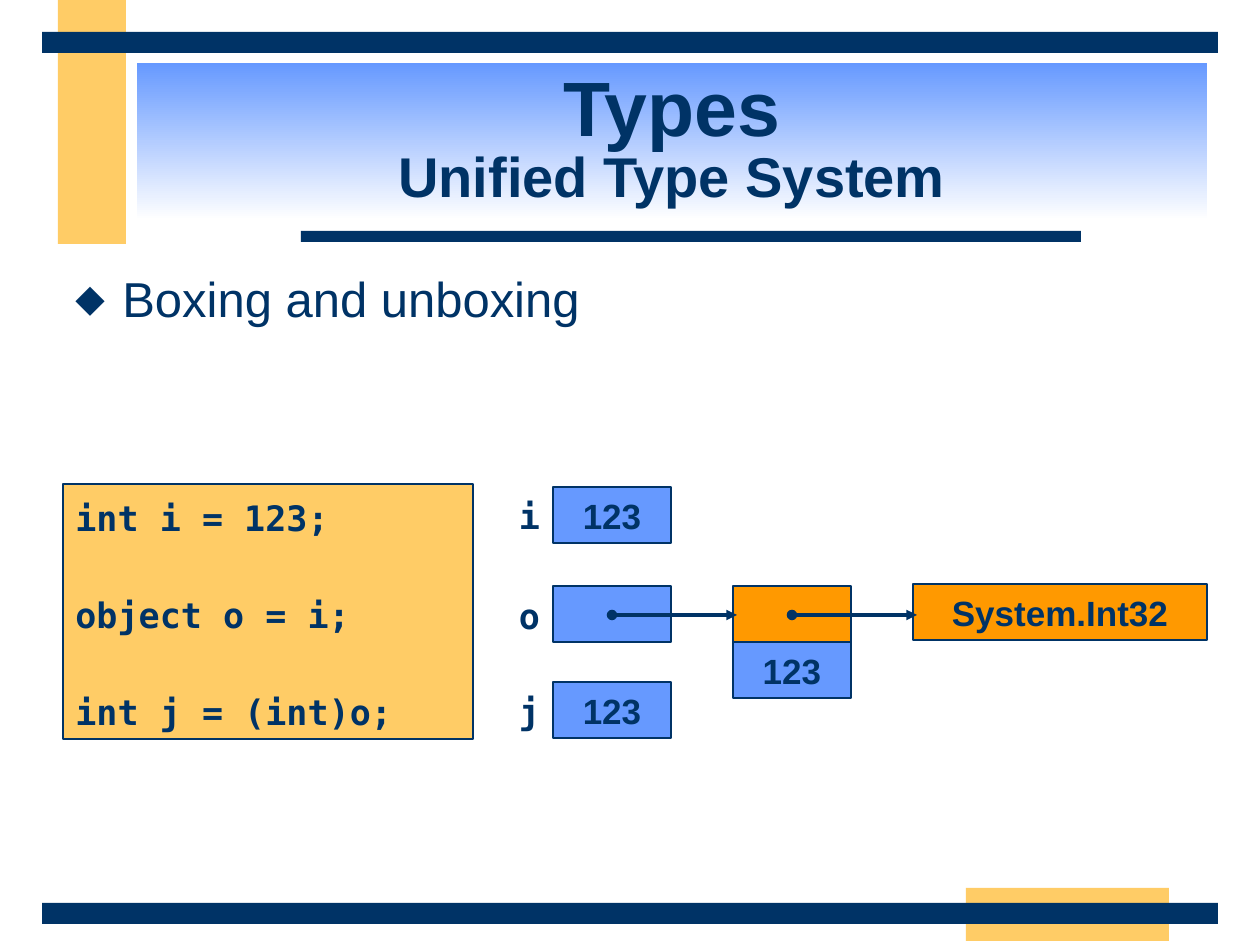
import dataclasses

import pptx
import pptx.dml.color
import pptx.enum.shapes
import pptx.enum.text
import pptx.oxml.ns
import pptx.util
from lxml import etree

ALIGN = pptx.enum.text.PP_ALIGN
ANCHOR = pptx.enum.text.MSO_ANCHOR
EMU_PER_PX = 914400 / 126


@dataclasses.dataclass(frozen=True)
class Theme:
    """Colours, fonts and type sizes of the slide."""
    navy: str = "003366"
    sand: str = "FFCC66"
    blue: str = "6699FF"
    orange: str = "FF9900"
    white: str = "FFFFFF"
    sans: str = "Arial"
    mono: str = "DejaVu Sans Mono"
    title: int = 44
    subtitle: int = 32
    body: int = 28
    small: int = 20


def px(length):
    """Turn pixels into EMU."""
    return pptx.util.Emu(round(length * EMU_PER_PX))


def rgb(value):
    """Turn a hex string into a colour."""
    return pptx.dml.color.RGBColor.from_string(value)


def add_xml(parent, tag, **attributes):
    """Append a DrawingML element to its parent."""
    return etree.SubElement(parent, pptx.oxml.ns.qn(f"a:{tag}"), attributes)


def write(paragraph, text, *, size, font, color, bold=True, align=ALIGN.CENTER,
          spacing=None, before=None):
    """Add formatted text to a paragraph."""
    paragraph.alignment = align
    if spacing:
        paragraph.line_spacing = spacing
    if before:
        paragraph.space_before = pptx.util.Pt(before)
    run = paragraph.add_run()
    run.text = text
    run.font.size = pptx.util.Pt(size)
    run.font.name = font
    run.font.bold = bold
    run.font.color.rgb = rgb(color)


class Deck:
    """Holds the theme and the current slide."""

    def __init__(self, theme):
        """Open a presentation with one title-only slide."""
        self.theme = theme
        self.presentation = pptx.Presentation()
        self.presentation.slide_width = px(1260)
        self.presentation.slide_height = px(945)
        self.slide = self.presentation.slides.add_slide(self.presentation.slide_layouts[5])

    def box(self, x, y, width, height, fill, line=None):
        """Draw a rectangle with an optional outline."""
        shape = self.slide.shapes.add_shape(
            pptx.enum.shapes.MSO_SHAPE.RECTANGLE, px(x), px(y), px(width), px(height))
        shape.shadow.inherit = False
        shape.fill.solid()
        shape.fill.fore_color.rgb = rgb(fill)
        if line:
            shape.line.color.rgb = rgb(self.theme.navy)
            shape.line.width = pptx.util.Pt(line)
        else:
            shape.line.fill.background()
        return shape

    def text_box(self, x, y, width, height, wrap, anchor):
        """Add an empty text box and return its frame."""
        frame = self.slide.shapes.add_textbox(px(x), px(y), px(width), px(height)).text_frame
        frame.word_wrap = wrap
        frame.vertical_anchor = anchor
        return frame

    def title(self, heading, subheading, x, y, width, height):
        """Place the two-line title on its gradient."""
        theme = self.theme
        title = self.slide.shapes.title
        title.left, title.top, title.width, title.height = map(px, (x, y, width, height))
        title.fill.gradient()
        title.fill.gradient_angle = 270
        for stop, color in zip(title.fill.gradient_stops, (theme.blue, theme.white)):
            stop.color.rgb = rgb(color)
        frame = title.text_frame
        frame.auto_size = pptx.enum.text.MSO_AUTO_SIZE.NONE
        frame.vertical_anchor = ANCHOR.MIDDLE
        paragraph = frame.paragraphs[0]
        look = dict(font=theme.sans, color=theme.navy, spacing=0.85)
        write(paragraph, heading, size=theme.title, **look)
        paragraph.add_line_break()
        write(paragraph, subheading, size=theme.subtitle, **look)

    def bullet(self, text, x, y, width, height):
        """Add a line of body text with a diamond bullet."""
        theme = self.theme
        paragraph = self.text_box(x, y, width, height, True, ANCHOR.TOP).paragraphs[0]
        properties = paragraph._p.get_or_add_pPr()
        properties.set("marL", str(px(47)))
        properties.set("indent", str(px(-47)))
        add_xml(add_xml(properties, "buClr"), "srgbClr", val=theme.navy)
        add_xml(properties, "buFont", typeface=theme.mono)
        add_xml(properties, "buChar", char="◆")
        write(paragraph, text, size=theme.body, font=theme.sans, color=theme.navy,
              bold=False, align=ALIGN.LEFT)

    def code(self, statements, x, y, width, height):
        """Show spaced statements in a code panel."""
        theme = self.theme
        frame = self.box(x, y, width, height, theme.sand, 0.75).text_frame
        frame.word_wrap = True
        frame.vertical_anchor = ANCHOR.MIDDLE
        for index, statement in enumerate(statements):
            paragraph = frame.add_paragraph() if index else frame.paragraphs[0]
            write(paragraph, statement, size=theme.small, font=theme.mono, color=theme.navy,
                  align=ALIGN.LEFT, spacing=1.15, before=28 if index else None)

    def cell(self, text, x, y, width, height, fill):
        """Draw a memory cell with an optional value."""
        theme = self.theme
        frame = self.box(x, y, width, height, fill, 1).text_frame
        frame.vertical_anchor = ANCHOR.MIDDLE
        if text:
            write(frame.paragraphs[0], text, size=theme.small, font=theme.sans,
                  color=theme.navy)

    def label(self, text, x, y, width, height):
        """Name a variable beside its cell."""
        theme = self.theme
        frame = self.text_box(x, y, width, height, False, ANCHOR.MIDDLE)
        write(frame.paragraphs[0], text, size=theme.small, font=theme.mono, color=theme.navy)

    def reference(self, start, end, y):
        """Draw a horizontal reference arrow."""
        arrow = self.slide.shapes.add_connector(
            pptx.enum.shapes.MSO_CONNECTOR.STRAIGHT, px(start), px(y), px(end), px(y))
        arrow.line.color.rgb = rgb(self.theme.navy)
        arrow.line.width = pptx.util.Pt(2)
        outline = arrow.line._get_or_add_ln()
        add_xml(outline, "headEnd", type="oval")
        add_xml(outline, "tailEnd", type="triangle")
        add_xml(arrow._element.spPr, "effectLst")


def main():
    """Build the boxing and unboxing slide."""
    theme = Theme()
    deck = Deck(theme)
    for x, y, width, height, fill in (
            (58, 0, 68, 244, theme.sand), (966, 888, 203, 53, theme.sand),
            (301, 231, 780, 11, theme.navy), (42, 903, 1176, 21, theme.navy),
            (42, 32, 1176, 21, theme.navy)):
        deck.box(x, y, width, height, fill)
    deck.title("Types", "Unified Type System", 137, 63, 1070, 157)
    deck.bullet("Boxing and unboxing", 63, 262, 1134, 620)
    deck.code(("int i = 123;", "object o = i;", "int j = (int)o;"), 63, 484, 410, 255)

    stack_x, heap_x, type_x = 553, 733, 913
    cell_width, cell_height, object_y = 118, 56, 586
    for name, value, y in (("i", "123", 487), ("o", "", object_y), ("j", "123", 682)):
        deck.cell(value, stack_x, y, cell_width, cell_height, theme.blue)
        deck.label(name, stack_x - 47, y + 1, 47, cell_height)
    deck.cell("", heap_x, object_y, cell_width, cell_height, theme.orange)
    deck.cell("123", heap_x, object_y + cell_height, cell_width, cell_height, theme.blue)
    deck.cell("System.Int32", type_x, object_y - 2, 294, cell_height, theme.orange)
    for source, target in ((stack_x, heap_x), (heap_x, type_x)):
        deck.reference(source + cell_width // 2, target + 4, 615)
    deck.presentation.save("out.pptx")


if __name__ == "__main__":
    main()
